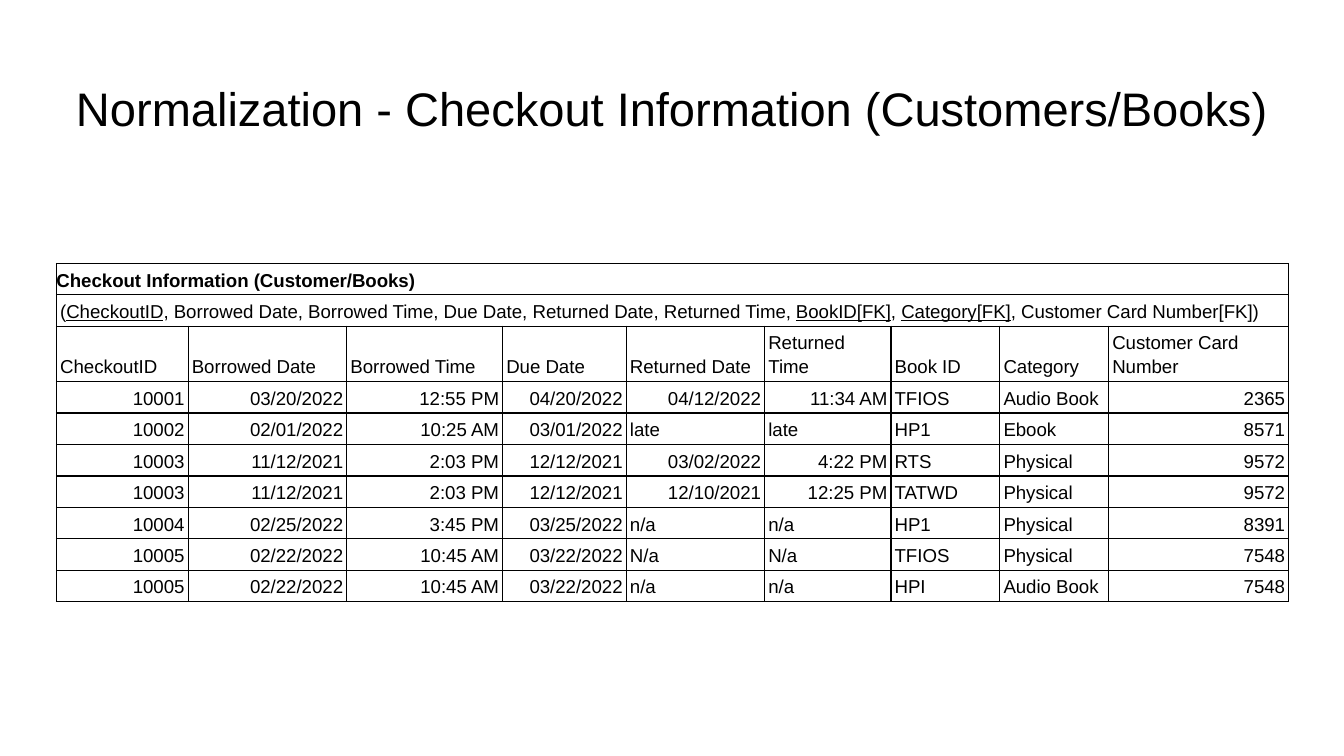
from dataclasses import dataclass

from lxml import etree
from pptx import Presentation
from pptx.dml.color import RGBColor
from pptx.enum.text import MSO_ANCHOR, MSO_AUTO_SIZE, PP_ALIGN
from pptx.oxml.ns import qn
from pptx.util import Inches, Pt

LEFT, CENTER, RIGHT = PP_ALIGN.LEFT, PP_ALIGN.CENTER, PP_ALIGN.RIGHT
MIDDLE, BOTTOM = MSO_ANCHOR.MIDDLE, MSO_ANCHOR.BOTTOM
NO_FIT = MSO_AUTO_SIZE.NONE


@dataclass(frozen=True)
class Theme:
    font: str = "Arial"
    ink: str = "000000"
    title: float = 25.2
    body: float = 10
    line: float = 0.75
    lead: float = 1.15
    pad: float = 2


THEME = Theme()

TITLE = "Normalization - Checkout Information (Customers/Books)"
NAME = "Checkout Information (Customer/Books)"
SCHEMA = [
    ("(", False),
    ("CheckoutID", True),
    (", Borrowed Date, Borrowed Time, Due Date, Returned Date, Returned Time, ", False),
    ("BookID[FK]", True),
    (", ", False),
    ("Category[FK]", True),
    (", Customer Card Number[FK])", False),
]
HEADS = ["CheckoutID", "Borrowed Date", "Borrowed Time", "Due Date", "Returned Date",
         "Returned Time", "Book ID", "Category", "Customer Card Number"]
LOANS = [
    ["10001", "03/20/2022", "12:55 PM", "04/20/2022", "04/12/2022", "11:34 AM",
     "TFIOS", "Audio Book", "2365"],
    ["10002", "02/01/2022", "10:25 AM", "03/01/2022", "late", "late",
     "HP1", "Ebook", "8571"],
    ["10003", "11/12/2021", "2:03 PM", "12/12/2021", "03/02/2022", "4:22 PM",
     "RTS", "Physical", "9572"],
    ["10003", "11/12/2021", "2:03 PM", "12/12/2021", "12/10/2021", "12:25 PM",
     "TATWD", "Physical", "9572"],
    ["10004", "02/25/2022", "3:45 PM", "03/25/2022", "n/a", "n/a",
     "HP1", "Physical", "8391"],
    ["10005", "02/22/2022", "10:45 AM", "03/22/2022", "N/a", "N/a",
     "TFIOS", "Physical", "7548"],
    ["10005", "02/22/2022", "10:45 AM", "03/22/2022", "n/a", "n/a",
     "HPI", "Audio Book", "7548"],
]
WIDTHS = [0.98, 1.18, 1.16, 0.92, 1.03, 0.94, 0.81, 0.81, 1.34]
ROW = 0.22


def add_run(para, text, size, bold=False, under=False):
    run = para.add_run()
    run.text = text
    font = run.font
    font.name, font.size = THEME.font, Pt(size)
    font.bold, font.underline = bold, under
    font.color.rgb = RGBColor.from_string(THEME.ink)


def add_title(slide, left, top, width, height):
    shape = slide.shapes.title
    shape.left, shape.top = Inches(left), Inches(top)
    shape.width, shape.height = Inches(width), Inches(height)
    frame = shape.text_frame
    frame.auto_size, frame.word_wrap = NO_FIT, True
    frame.vertical_anchor = MIDDLE
    frame.margin_left = frame.margin_right = Inches(0.1)
    frame.margin_top = frame.margin_bottom = Inches(0.1)
    para = frame.paragraphs[0]
    para.alignment = CENTER
    add_run(para, TITLE, THEME.title)


def style_cell(cell):
    props = cell._tc.get_or_add_tcPr()
    for side in ("a:lnL", "a:lnR", "a:lnT", "a:lnB"):
        line = etree.SubElement(props, qn(side), w=str(Pt(THEME.line)))
        fill = etree.SubElement(line, qn("a:solidFill"))
        etree.SubElement(fill, qn("a:srgbClr"), val=THEME.ink)
    cell.fill.background()
    cell.vertical_anchor = BOTTOM
    cell.margin_left = cell.margin_right = Pt(THEME.pad)
    cell.margin_top = cell.margin_bottom = Pt(THEME.pad)


def fill_cell(cell, runs, align=LEFT, bold=False):
    para = cell.text_frame.paragraphs[0]
    para.alignment, para.line_spacing = align, THEME.lead
    for text, under in runs:
        add_run(para, text, THEME.body, bold, under)


def add_loans(slide, left, top):
    grid = [HEADS] + LOANS
    count = len(grid) + 2
    table = slide.shapes.add_table(
        count, len(WIDTHS), Inches(left), Inches(top),
        Inches(sum(WIDTHS)), Inches(ROW * count)).table
    table.first_row = table.horz_banding = False
    for col, width in zip(table.columns, WIDTHS):
        col.width = Inches(width)
    for row in table.rows:
        row.height = Inches(ROW)
    for cell in table.iter_cells():
        style_cell(cell)
    for i in range(2):
        table.cell(i, 0).merge(table.cell(i, len(WIDTHS) - 1))
    name = table.cell(0, 0)
    name.margin_left = name.margin_right = 0
    fill_cell(name, [(NAME, False)], bold=True)
    fill_cell(table.cell(1, 0), SCHEMA)
    for i, row in enumerate(grid, 2):
        for j, text in enumerate(row):
            align = RIGHT if text[0].isdigit() else LEFT
            fill_cell(table.cell(i, j), [(text, False)], align)


def main():
    deck = Presentation()
    deck.slide_width = Inches(10)
    deck.slide_height = deck.slide_width * 9 // 16
    slide = deck.slides.add_slide(deck.slide_layouts[5])
    add_title(slide, 0.34, 0.49, 9.32, 0.63)
    add_loans(slide, 0.42, 1.96)
    deck.save("out.pptx")


if __name__ == "__main__":
    main()
